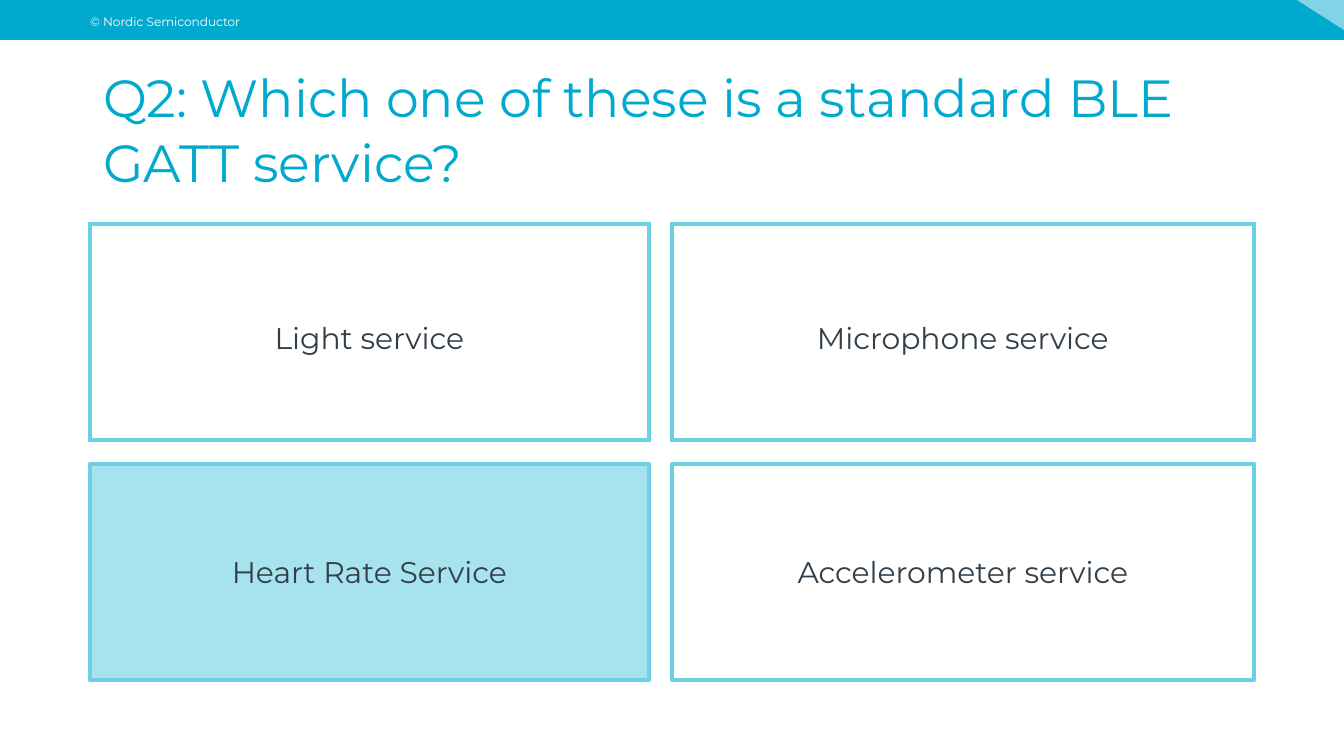
from dataclasses import dataclass

import pptx
import pptx.dml.color
import pptx.enum.shapes
import pptx.enum.text
import pptx.oxml
import pptx.oxml.ns
import pptx.util

RGBColor = pptx.dml.color.RGBColor
Align = pptx.enum.text.PP_ALIGN
Anchor = pptx.enum.text.MSO_ANCHOR

SCALE = 914400 / 134.4  # EMU in one px
PAGE_WIDTH, PAGE_HEIGHT = 1344, 756
FONT = "Montserrat"
BLUE = RGBColor(0x00, 0xA9, 0xCE)
BORDER = RGBColor(0x6A, 0xD1, 0xE3)
HIGHLIGHT = RGBColor(0xA6, 0xE3, 0xEE)
INK = RGBColor(0x33, 0x3F, 0x48)
WHITE = RGBColor(0xFF, 0xFF, 0xFF)

# Answer grid
COLUMNS = [(90, 559), (672, 582)]  # left, width
ROWS = [224, 464]
ANSWER_HEIGHT = 216


@dataclass
class Answer:
    text: str
    row: int
    column: int
    fill: RGBColor = WHITE
    join: str = "miter"
    line_spacing: float = 1.0


ANSWERS = [
    Answer("Light service", 0, 0, line_spacing=1.3),
    Answer("Microphone service", 0, 1, line_spacing=1.3),
    Answer("Heart Rate Service", 1, 0, fill=HIGHLIGHT, join="round"),
    Answer("Accelerometer service", 1, 1, join="round"),
]


def px(length: float) -> int:
    return round(length * SCALE)


def write(shape, text: str, size: float, color: RGBColor, spacing=1.0,
          align=Align.LEFT, anchor=Anchor.TOP) -> None:
    frame = shape.text_frame
    frame.word_wrap = True
    frame.vertical_anchor = anchor
    frame.text = text
    para = frame.paragraphs[0]
    para.alignment = align
    para.line_spacing = spacing
    font = para.runs[0].font
    font.name = FONT
    font.size = pptx.util.Pt(size)
    font.color.rgb = color


def add_rectangle(page, left: int, top: int, width: int, height: int,
                  fill: RGBColor):
    box = page.shapes.add_shape(pptx.enum.shapes.MSO_SHAPE.RECTANGLE,
                                px(left), px(top), px(width), px(height))
    box.shadow.inherit = False
    box.fill.solid()
    box.fill.fore_color.rgb = fill
    box.line.fill.background()
    return box


def add_text(page, left: int, top: int, width: int, height: int, text: str,
             size: float, color: RGBColor, spacing) -> None:
    box = page.shapes.add_textbox(px(left), px(top), px(width), px(height))
    write(box, text, size, color, spacing)


def add_corner(page) -> None:
    builder = page.shapes.build_freeform(1297, 0, scale=SCALE)
    builder.add_line_segments([(1344, 0), (1344, 30)], close=True)
    corner = builder.convert_to_shape()
    corner.shadow.inherit = False
    corner.line.fill.background()
    corner.fill.solid()
    corner.fill.fore_color.rgb = WHITE
    color = corner.fill._xPr.find(".//" + pptx.oxml.ns.qn("a:srgbClr"))
    color.append(pptx.oxml.parse_xml(
        f'<a:alpha {pptx.oxml.ns.nsdecls("a")} val="50000"/>'))


def add_answer(page, answer: Answer) -> None:
    left, width = COLUMNS[answer.column]
    box = add_rectangle(page, left, ROWS[answer.row], width, ANSWER_HEIGHT,
                        answer.fill)
    box.line.color.rgb = BORDER
    box.line.width = pptx.util.Pt(2)
    limit = ' lim="800000"' if answer.join == "miter" else ""
    box.line._get_or_add_ln().append(pptx.oxml.parse_xml(
        f'<a:{answer.join} {pptx.oxml.ns.nsdecls("a")}{limit}/>'))
    write(box, answer.text, 16, INK, answer.line_spacing,
          Align.CENTER, Anchor.MIDDLE)


def main() -> None:
    deck = pptx.Presentation()
    deck.slide_width = px(PAGE_WIDTH)
    deck.slide_height = px(PAGE_HEIGHT)
    page = deck.slides.add_slide(deck.slide_layouts[6])

    # Header band
    add_rectangle(page, 0, 0, PAGE_WIDTH, 40, BLUE)
    add_text(page, 77, 5, 488, 39, "© Nordic Semiconductor", 6.5, WHITE, 1.2)
    add_corner(page)

    # Question
    add_text(page, 90, 56, 1164, 75,
             "Q2: Which one of these is a standard BLE GATT service?",
             28, BLUE, pptx.util.Pt(35))

    # Answers
    for answer in ANSWERS:
        add_answer(page, answer)

    deck.save("out.pptx")


if __name__ == "__main__":
    main()
